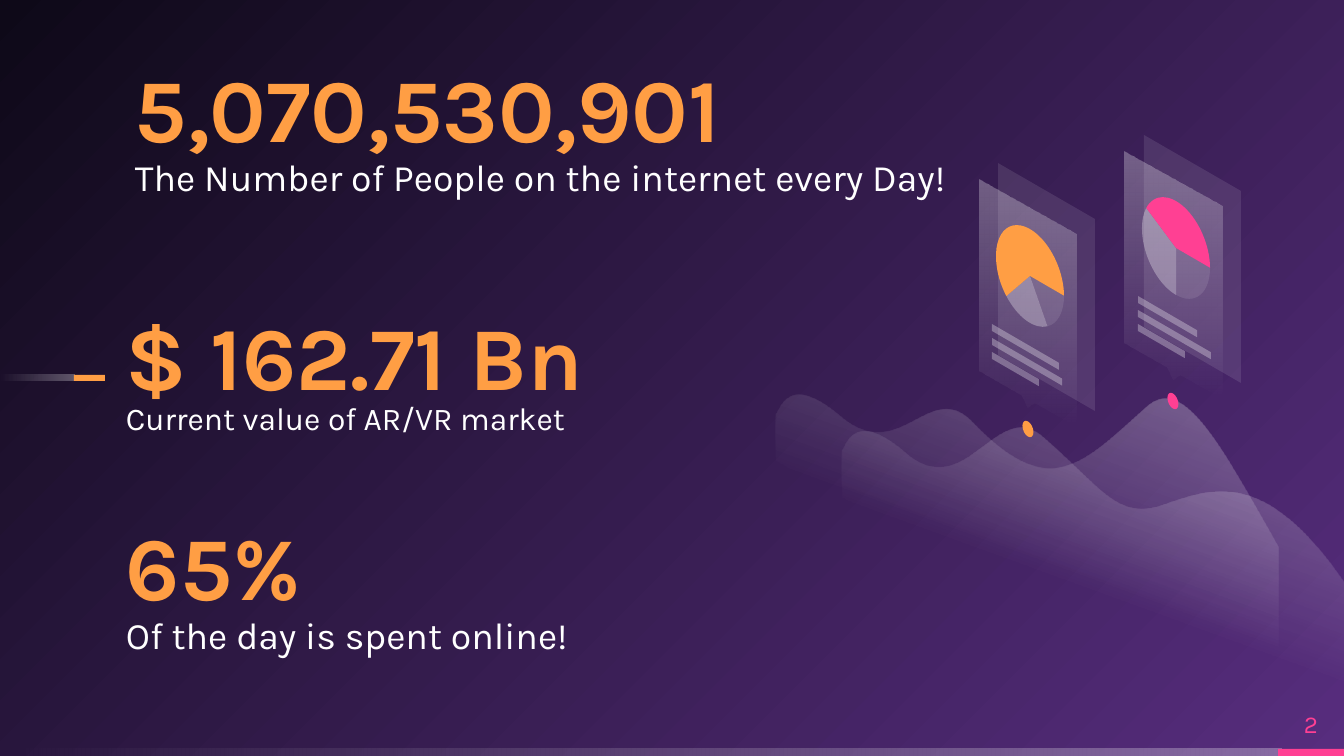
from dataclasses import dataclass
from math import cos, radians, sin, tan

from lxml.etree import SubElement
from pptx import Presentation
from pptx.dml.color import RGBColor
from pptx.enum.shapes import MSO_SHAPE as Preset
from pptx.enum.text import MSO_ANCHOR as Anchor, PP_ALIGN as Align
from pptx.oxml import parse_xml
from pptx.oxml.ns import nsdecls, qn
from pptx.util import Pt

WIDTH, HEIGHT = 1344, 756
EMU_PER_PX = 9144000 / WIDTH
FONT = "Karla"
ORANGE, PINK, WHITE = "FF9E44", "FF4093", "FFFFFF"
SLOPE = 0.58  # rise of the slanted card edges
Point = tuple[float, float]
Segment = list[Point]  # one point for a line, three for a cubic curve


@dataclass
class Gradient:
    stops: list[tuple[int, str, int]]  # position, colour, opacity in percent
    angle: int | None = None  # None gives a circle around the lower right corner


@dataclass
class Paint:
    colour: str
    opacity: int = 100


@dataclass
class Stat:
    left: int
    top: int
    value: str
    caption: str
    caption_top: int
    caption_width: int
    caption_size: int = 20


@dataclass
class Slice:
    start: int
    end: int
    curves: int
    paint: Paint


@dataclass
class Card:
    x: int  # pie centre
    y: int
    slices: list[Slice]
    bar_widths: list[int]


FAINT, LIGHT = Paint(WHITE, 10), Paint(WHITE, 30)
FADE_LEFT = Gradient([(0, WHITE, 30), (100, WHITE, 0)], 180)
FADE_DOWN = Gradient([(0, WHITE, 30), (100, WHITE, 0)], 90)
FADE_WAVE = Gradient([(0, WHITE, 30), (47, WHITE, 0), (100, WHITE, 0)], 110)
BACKDROP = Gradient([(0, "572D7E", 100), (100, "0E0918", 100)])

STATS = [
    Stat(126, 295, "$ 162.71 Bn", "Current value of AR/VR market", 393, 727, 17),
    Stat(126, 505, "65%", "Of the day is spent online!", 605, 634),
    Stat(135, 47, "5,070,530,901", "The Number of People on the internet every Day!", 147, 878),
]
WAVES = [
    [[(839, 415)], [(786, 371), (780, 413), (776, 414)], [(776, 414), (775, 425), (776, 461)],
     [(1278, 751)], [(1278, 547)], [(1220, 445), (1183, 374), (1146, 407)],
     [(1082, 464), (1050, 503), (973, 423)], [(929, 376), (900, 469), (839, 415)]],
    [[(905, 452)], [(852, 406), (845, 449), (842, 450)], [(842, 450), (841, 460), (842, 497)],
     [(1344, 788)], [(1344, 583)], [(1263, 465), (1210, 488), (1163, 504)],
     [(1117, 521), (1101, 487), (1043, 437)], [(996, 395), (966, 505), (905, 452)]],
]
CARDS = [
    Card(1176, 248,
         [Slice(0, 90, 4, FAINT), Slice(90, 209, 4, LIGHT), Slice(209, 360, 4, Paint(PINK))],
         [59, 73, 47]),
    Card(1030, 276,
         [Slice(0, 59, 2, FAINT), Slice(59, 134, 2, LIGHT), Slice(134, 360, 8, Paint(ORANGE))],
         [67, 70, 47]),
]
BACK_PANEL = [(-32, -113), (65, -57), (65, 135), (-32, 79)]
FRONT_PANEL = [(46, -41), (-51, -96), (-51, 95), (-9, 119), (-3, 132), (4, 127), (46, 151)]


def px(length: float) -> int:
    return round(length * EMU_PER_PX)


def rgb(colour: str) -> RGBColor:
    return RGBColor.from_string(colour)


def set_gradient(parent, gradient: Gradient) -> None:
    """Replace the solid fill inside parent by a gradient."""
    stops = "".join(
        f'<a:gs pos="{position * 1000}"><a:srgbClr val="{colour}">'
        f'<a:alpha val="{opacity * 1000}"/></a:srgbClr></a:gs>'
        for position, colour, opacity in gradient.stops)
    if gradient.angle is None:
        direction = '<a:path path="circle"><a:fillToRect l="100000" t="100000"/></a:path>'
    else:
        direction = f'<a:lin ang="{gradient.angle * 60000}" scaled="0"/>'
    parent.replace(parent.find(qn("a:solidFill")), parse_xml(
        f'<a:gradFill rotWithShape="1" {nsdecls("a")}><a:gsLst>{stops}</a:gsLst>{direction}</a:gradFill>'))


def style(shape, paint: Paint | Gradient) -> None:
    shape.shadow.inherit = False
    shape.line.fill.background()
    shape.fill.solid()
    properties = shape.element.spPr
    if isinstance(paint, Gradient):
        set_gradient(properties, paint)
        return
    shape.fill.fore_color.rgb = rgb(paint.colour)
    if paint.opacity < 100:
        colour = properties.find(qn("a:solidFill"))[0]
        SubElement(colour, qn("a:alpha")).set("val", str(paint.opacity * 1000))


def add_bar(slide, left: int, top: int, width: int, height: int, paint: Paint | Gradient) -> None:
    style(slide.shapes.add_shape(Preset.RECTANGLE, px(left), px(top), px(width), px(height)), paint)


def trace(segments: list[Segment], steps: int = 20) -> list[Point]:
    """Points along the segments, to find how far the curves reach."""
    points = list(segments[0])
    for segment in segments[1:]:
        if len(segment) == 1:
            points += segment
            continue
        controls = [points[-1], *segment]
        for step in range(1, steps + 1):
            t = step / steps
            weights = [(1 - t) ** 3, 3 * t * (1 - t) ** 2, 3 * t * t * (1 - t), t ** 3]
            points.append(tuple(sum(w * c[axis] for w, c in zip(weights, controls)) for axis in (0, 1)))
    return points


def add_outline(slide, segments: list[Segment], paint: Paint | Gradient, x: int = 0, y: int = 0) -> None:
    placed = [[(px(x + dx), px(y + dy)) for dx, dy in segment] for segment in segments]
    reach = trace(placed)
    builder = slide.shapes.build_freeform(*reach[0], scale=1.0)
    builder.add_line_segments(reach[1:], close=True)
    shape = builder.convert_to_shape()
    # Put true curves in the outline
    outline = next(shape.element.iter(qn("a:pathLst")))[0]
    for step in list(outline):
        outline.remove(step)
    for index, segment in enumerate(placed):
        tag = "a:moveTo" if index == 0 else "a:lnTo" if len(segment) == 1 else "a:cubicBezTo"
        step = SubElement(outline, qn(tag))
        for left, top in segment:
            point = SubElement(step, qn("a:pt"))
            point.set("x", str(left - shape.left))
            point.set("y", str(top - shape.top))
    SubElement(outline, qn("a:close"))
    style(shape, paint)


def polygon(points: list[Point]) -> list[Segment]:
    return [[point] for point in points]


def slanted_arc(radius: float, start: int, end: int, curves: int) -> list[Segment]:
    """Start point and curves of a circle that lies on the slanted card plane."""
    def project(across: float, down: float) -> Point:
        return radius * across, radius * (1.38 * down + SLOPE * across)

    turn = radians(end - start) / curves
    handle = 4 / 3 * tan(turn / 4)
    segments = [[project(cos(radians(start)), sin(radians(start)))]]
    for index in range(curves):
        a = radians(start) + index * turn
        b = a + turn
        segments.append([project(cos(a) - handle * sin(a), sin(a) + handle * cos(a)),
                         project(cos(b) + handle * sin(b), sin(b) - handle * cos(b)),
                         project(cos(b), sin(b))])
    return segments


def add_text(slide, text: str, left: int, top: int, width: int, height: int, *, size: int,
             colour: str, bold: bool = False, anchor=Anchor.TOP, align=Align.LEFT,
             spacing: float = 1.0) -> None:
    frame = slide.shapes.add_textbox(px(left), px(top), px(width), px(height)).text_frame
    frame.word_wrap = True
    frame.vertical_anchor = anchor
    frame.margin_left = frame.margin_top = frame.margin_right = frame.margin_bottom = 0
    paragraph = frame.paragraphs[0]
    paragraph.alignment = align
    paragraph.line_spacing = spacing
    run = paragraph.add_run()
    run.text = text
    run.font.name, run.font.size, run.font.bold = FONT, Pt(size), bold
    run.font.color.rgb = rgb(colour)


def add_stat(slide, stat: Stat) -> None:
    add_text(slide, stat.value, stat.left, stat.top, 634, 132, size=48, colour=ORANGE,
             bold=True, anchor=Anchor.MIDDLE, spacing=0.9)
    add_text(slide, stat.caption, stat.left, stat.caption_top, stat.caption_width, 69,
             size=stat.caption_size, colour=WHITE, spacing=1.15)


def add_card(slide, card: Card) -> None:
    add_outline(slide, polygon(BACK_PANEL), FAINT, card.x, card.y)
    add_outline(slide, polygon(FRONT_PANEL), FADE_DOWN, card.x, card.y)
    for part in card.slices:
        arc = slanted_arc(34, part.start, part.end, part.curves)
        add_outline(slide, [*arc, [(0, 0)]], part.paint, card.x, card.y)
    for row, width in enumerate(card.bar_widths):
        drop = width * SLOPE
        corners = [(0, 0), (width, drop), (width, drop + 7), (0, 7)]
        add_outline(slide, polygon(corners), LIGHT, card.x - 38, card.y + 48 + 14 * row)


def main() -> None:
    presentation = Presentation()
    presentation.slide_width, presentation.slide_height = px(WIDTH), px(HEIGHT)
    slide = presentation.slides.add_slide(presentation.slide_layouts[6])

    # Background
    slide.background.fill.solid()
    set_gradient(slide.element.xpath(".//p:bgPr")[0], BACKDROP)

    # Footer strip and side marker
    add_bar(slide, 0, 749, 1282, 7, FADE_LEFT)
    add_bar(slide, 1278, 749, 66, 7, Paint(PINK))
    add_bar(slide, 0, 375, 75, 6, FADE_LEFT)
    add_bar(slide, 74, 375, 31, 6, Paint(ORANGE))

    # Key figures and page number
    for stat in STATS:
        add_stat(slide, stat)
    add_text(slide, "2", 1278, 698, 66, 51, size=13, colour=PINK, anchor=Anchor.MIDDLE, align=Align.CENTER)

    # Waves, peak dots and floating cards
    for wave in WAVES:
        add_outline(slide, wave, FADE_WAVE)
    for x, y, colour in [(1173, 401, PINK), (1028, 429, ORANGE)]:
        add_outline(slide, slanted_arc(5.5, 0, 360, 4), Paint(colour), x, y)
    for card in CARDS:
        add_card(slide, card)

    presentation.save("out.pptx")


if __name__ == "__main__":
    main()
